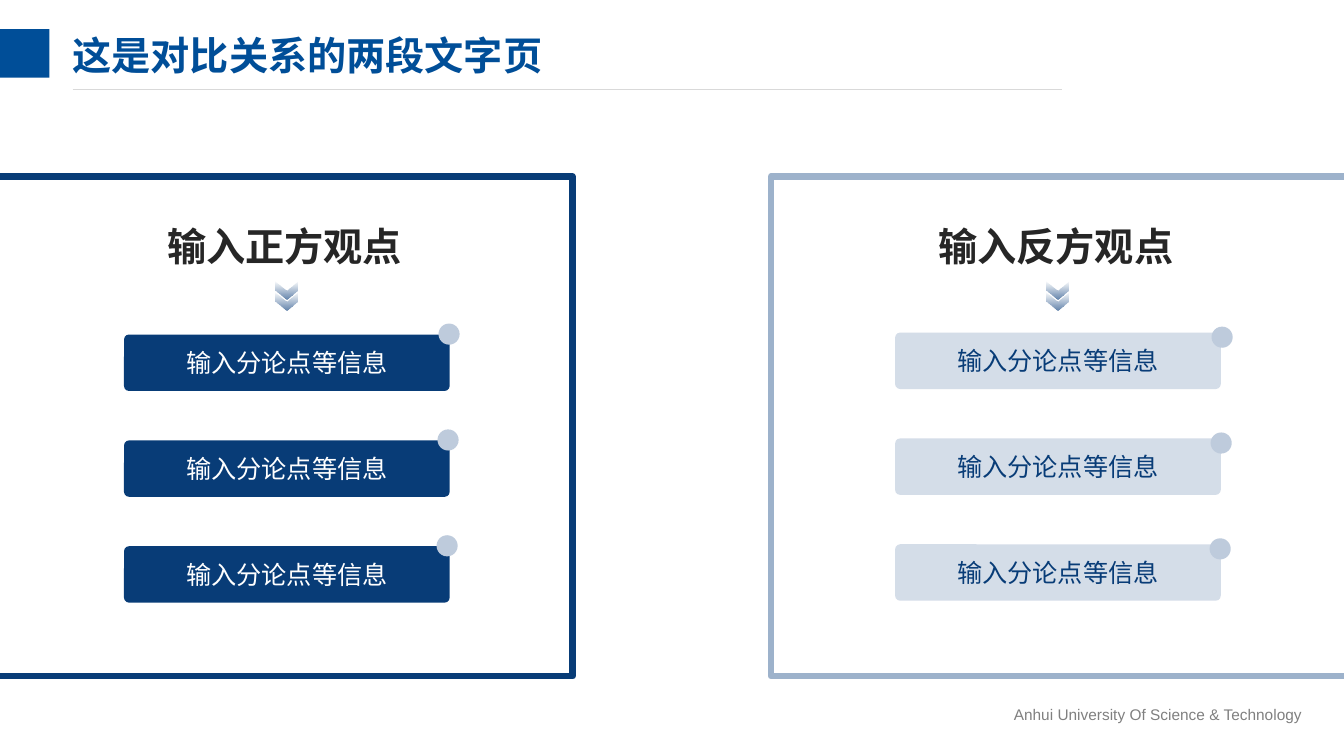
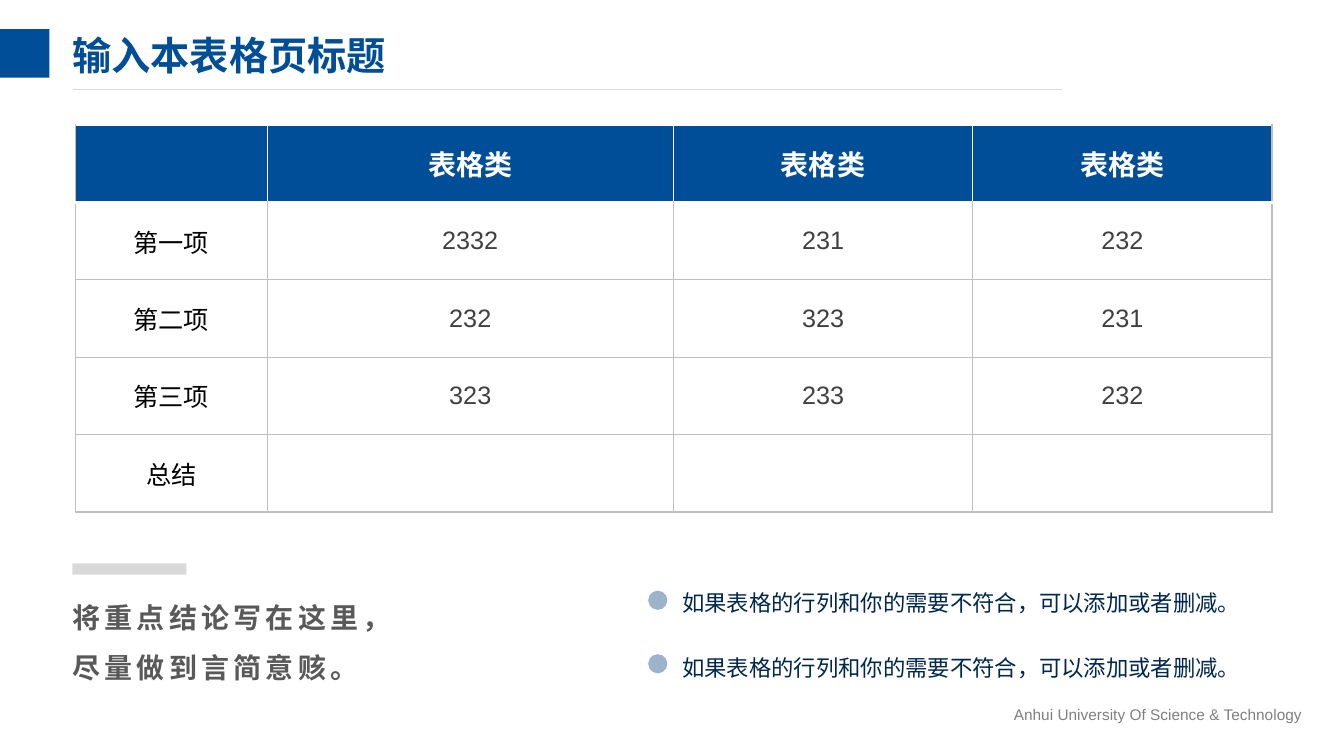
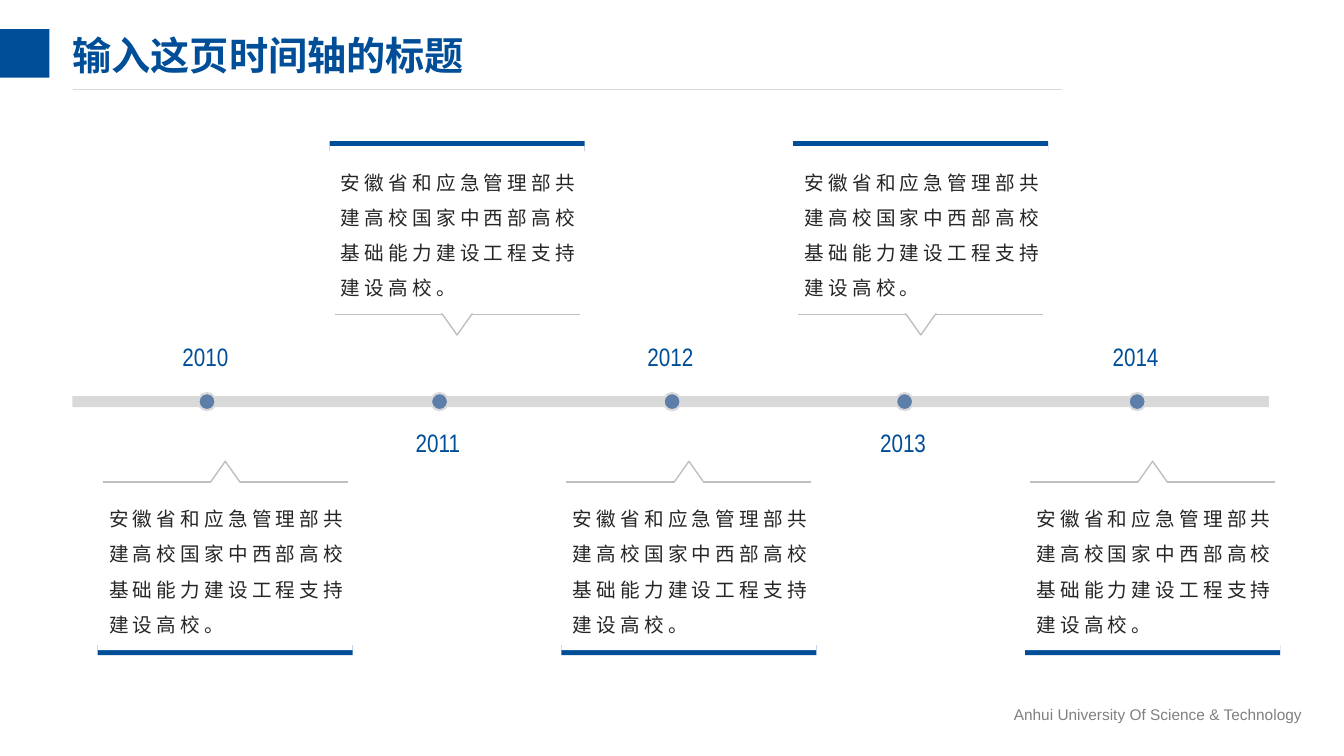
from lxml.etree import SubElement
from pptx import Presentation
from pptx.dml.color import RGBColor
from pptx.enum.shapes import MSO_CONNECTOR, MSO_SHAPE
from pptx.enum.text import MSO_ANCHOR, MSO_AUTO_SIZE, PP_ALIGN
from pptx.oxml.ns import qn
from pptx.util import Pt

BLUE = RGBColor(0x00, 0x4E, 0x98)
NAVY = RGBColor(0x08, 0x3C, 0x77)
MIDNIGHT = RGBColor(0x00, 0x27, 0x4C)
STEEL = RGBColor(0x5C, 0x7E, 0xA8)
MIST = RGBColor(0x9D, 0xB2, 0xCB)
PALE = RGBColor(0xBE, 0xCB, 0xDC)
WHITE = RGBColor(0xFF, 0xFF, 0xFF)
BLACK = RGBColor(0x00, 0x00, 0x00)
INK = RGBColor(0x26, 0x26, 0x26)
CHARCOAL = RGBColor(0x40, 0x40, 0x40)
SLATE = RGBColor(0x59, 0x59, 0x59)
GRAY = RGBColor(0x80, 0x80, 0x80)
SILVER = RGBColor(0xBF, 0xBF, 0xBF)
LIGHT = RGBColor(0xD9, 0xD9, 0xD9)

CJK = "Noto Sans CJK SC"
INSET = (7.2, 3.6)

ISSUE = "输入分论点等信息"
NOTE = "如果表格的行列和你的需要不符合，可以添加或者删减。"
EVENT = "安徽省和应急管理部共建高校国家中西部高校基础能力建设工程支持建设高校。"
TABLE_ROWS = [
    ["", "表格类", "表格类", "表格类"],
    ["第一项", "2332", "231", "232"],
    ["第二项", "232", "323", "231"],
    ["第三项", "323", "233", "232"],
    ["总结", "", "", ""],
]


def points(*lengths):
    return [Pt(length) for length in lengths]


def write(frame, text, size, color, font=CJK, bold=False, align=None,
          line_spacing=None, tracking=0):
    """Fill a text frame with one styled paragraph; tracking is in points."""
    frame.text = text
    para = frame.paragraphs[0]
    para.alignment = align
    para.line_spacing = line_spacing
    for span in para.runs:
        span.font.size = Pt(size)
        span.font.bold = bold
        span.font.color.rgb = color
        span.font.name = font
        properties = span.font._element
        SubElement(properties, qn("a:ea")).set("typeface", CJK)
        if tracking:
            properties.set("spc", str(tracking * 100))


def add_text(page, area, text, size, color, inset=(0, 0), wrap=True,
             grow=True, anchor=MSO_ANCHOR.TOP, **style):
    frame = page.shapes.add_textbox(*points(*area)).text_frame
    frame.margin_left = frame.margin_right = Pt(inset[0])
    frame.margin_top = frame.margin_bottom = Pt(inset[1])
    write(frame, text, size, color, **style)
    frame.word_wrap = wrap
    frame.vertical_anchor = anchor
    frame.auto_size = MSO_AUTO_SIZE.SHAPE_TO_FIT_TEXT if grow else MSO_AUTO_SIZE.NONE


def add_box(page, kind, area, fill=None, line=None, weight=1):
    box = page.shapes.add_shape(kind, *points(*area))
    box.shadow.inherit = False
    if fill is None:
        box.fill.background()
    else:
        box.fill.solid()
        box.fill.fore_color.rgb = fill
    if line is None:
        box.line.fill.background()
    else:
        box.line.color.rgb = line
        box.line.width = Pt(weight)
    return box


def add_rule(page, left, right, top, color, weight):
    rule = page.shapes.add_connector(MSO_CONNECTOR.STRAIGHT,
                                     *points(left, top, right, top))
    rule.line.color.rgb = color
    rule.line.width = Pt(weight)
    SubElement(rule._element.spPr, qn("a:effectLst"))


def set_alpha(fill_element, percent):
    """Make the first colour of a fill partly transparent."""
    color = next(fill_element.iter(qn("a:srgbClr")))
    SubElement(color, qn("a:alpha")).set("val", str(percent * 1000))


def add_page(deck, title):
    """Add a page with the shared title, accent square, rule and footer."""
    page = deck.slides.add_slide(deck.slide_layouts[6])
    add_text(page, (717.1, 500.4, 226.1, 20.9),
             "Anhui University Of Science & Technology", 11, GRAY,
             inset=INSET, wrap=False, font="Arial")
    add_box(page, MSO_SHAPE.RECTANGLE, (-1.4, 20.9, 36.7, 34.6), BLUE)
    add_rule(page, 51.8, 758.9, 64.1, LIGHT, 0.5)
    add_text(page, (51.8, 15.1, 684.7, 52.6), title, 28, BLUE, grow=False,
             anchor=MSO_ANCHOR.MIDDLE, font="Montserrat", bold=True,
             line_spacing=0.9)
    return page


def add_chevron(page, left, top):
    chevron = add_box(page, MSO_SHAPE.CHEVRON, (left, top, 13, 15.8))
    chevron.rotation = 90
    chevron.fill.gradient()
    chevron.fill.gradient_angle = 0
    for stop, position in zip(chevron.fill.gradient_stops, (0, 1)):
        stop.color.rgb = STEEL
        stop.position = position
    set_alpha(chevron._element.spPr.find(qn("a:gradFill")), 0)


def add_side(page, left, frame_left, frame_color, heading, bar_color, bar_alpha,
             text_color, bar_top, dot_left, dot_top):
    """Add one side of the debate, measured from the left of its column."""
    add_box(page, MSO_SHAPE.RECTANGLE, (left + frame_left, 126, 424.8, 357.1),
            line=frame_color, weight=4.5)
    add_text(page, (left + 119.5, 159.1, 169.9, 33.8), heading, 28, INK,
             wrap=False, bold=True)
    for top in (199.4, 207.4):
        add_chevron(page, left + 198, top)
    for index in range(3):
        drop = index * 75.6
        bar = add_box(page, MSO_SHAPE.ROUNDED_RECTANGLE,
                      (left + 88.6, bar_top + drop, 232.6, 40.3), bar_color)
        bar.adjustments[0] = 0.09
        if bar_alpha < 100:
            set_alpha(bar._element.spPr.find(qn("a:solidFill")), bar_alpha)
        bar.text_frame.vertical_anchor = MSO_ANCHOR.MIDDLE
        write(bar.text_frame, ISSUE, 18, text_color, align=PP_ALIGN.CENTER)
        add_box(page, MSO_SHAPE.OVAL,
                (left + dot_left - index * 0.7, dot_top + drop, 15.1, 15.1), PALE)


def set_borders(cell, borders):
    """Draw the left, right, top and bottom borders, each (colour, weight)."""
    properties = cell._tc.get_or_add_tcPr()
    for side, (color, weight) in zip("LRTB", borders):
        edge = SubElement(properties, qn(f"a:ln{side}"))
        edge.set("w", str(Pt(weight)))
        fill = SubElement(edge, qn("a:solidFill"))
        SubElement(fill, qn("a:srgbClr")).set("val", str(color))


def style_cell(cell, text, row, column, last_column):
    thin, white = (SILVER, 1), (WHITE, 1)
    if row == 0:
        set_borders(cell, (thin if column == 0 else white,
                           thin if column == last_column else white,
                           white, (WHITE, 3)))
        cell.fill.solid()
        cell.fill.fore_color.rgb = BLUE
        style = dict(size=20, color=WHITE, bold=True)
    else:
        set_borders(cell, (thin, thin, (WHITE, 3) if row == 1 else thin, thin))
        cell.fill.background()
        style = dict(size=18, color=BLACK if column == 0 else CHARCOAL, font="Arial")
    cell.vertical_anchor = MSO_ANCHOR.MIDDLE
    write(cell.text_frame, text, align=PP_ALIGN.CENTER, **style)


def add_data_table(page, left, top, widths, row_height):
    area = (left, top, sum(widths), row_height * len(TABLE_ROWS))
    table = page.shapes.add_table(len(TABLE_ROWS), len(widths), *points(*area)).table
    table.horz_banding = False
    for column, width in zip(table.columns, widths):
        column.width = Pt(width)
    for row, texts in enumerate(TABLE_ROWS):
        table.rows[row].height = Pt(row_height)
        for column, text in enumerate(texts):
            style_cell(table.cell(row, column), text, row, column, len(widths) - 1)


def add_conclusion(page, left, top):
    add_box(page, MSO_SHAPE.RECTANGLE, (left, top, 81.4, 7.9), LIGHT)
    add_text(page, (left, top + 14.4, 230.4, 68.4),
             "将重点结论写在这里，尽量做到言简意赅。", 20, SLATE,
             bold=True, line_spacing=1.5, tracking=3)


def add_note(page, left, text_top, dot_top):
    add_box(page, MSO_SHAPE.OVAL, (left, dot_top, 13.7, 13.7), MIST)
    add_text(page, (left + 17.3, text_top, 414, 33.1), NOTE, 16, MIDNIGHT,
             inset=INSET, line_spacing=1.5)


def add_event_card(page, left, top, above):
    """Add a card whose tip points at the axis: down if above it, else up."""
    width, height = 182.2, 119.5
    bottom = top + height
    if above:
        bar_top, tip_top, rule_top = top - 3.6, bottom - 4, bottom + 0.7
    else:
        bar_top, tip_top, rule_top = bottom - 3.6, top - 15.4, top - 0.7
    add_box(page, MSO_SHAPE.RECTANGLE, (left, bar_top, width, 7.2), BLUE)
    tip = add_box(page, MSO_SHAPE.ISOSCELES_TRIANGLE,
                  (left + 77.4, tip_top, 27.4, 19.4), line=SILVER)
    tip.rotation = 180 if above else 0
    add_box(page, MSO_SHAPE.RECTANGLE, (left, top, width, height), WHITE)
    for start, end in ((3.6, 80.6), (101.6, 178.6)):
        add_rule(page, left + start, left + end, rule_top, SILVER, 1)
    add_text(page, (left + 1, top + 5.4, 187.2, 105.8), EVENT, 14, INK,
             inset=INSET, line_spacing=1.5, tracking=3)


def build_comparison(deck):
    page = add_page(deck, "这是对比关系的两段文字页")
    add_side(page, 0, -15.8, NAVY, "输入正方观点", NAVY, 100, WHITE,
             bar_top=239, dot_left=313.2, dot_top=231.1)
    add_side(page, 550.8, 0, MIST, "输入反方观点", PALE, 65, NAVY,
             bar_top=237.6, dot_left=314.6, dot_top=233.3)


def build_table(deck):
    page = add_page(deck, "输入本表格页标题")
    add_data_table(page, 54, 89.3, (136.8, 290.2, 213.8, 213.8), 55.3)
    add_conclusion(page, 51.8, 402.5)
    for text_top, dot_top in ((407.5, 421.9), (454.3, 467.3)):
        add_note(page, 463, text_top, dot_top)


def build_timeline(deck):
    page = add_page(deck, "输入这页时间轴的标题")
    add_box(page, MSO_SHAPE.RECTANGLE, (51.8, 283, 854.6, 7.9), LIGHT)
    for index in range(5):
        above = index % 2 == 1
        dot_left = 141.8 + index * 166.1
        add_box(page, MSO_SHAPE.OVAL, (dot_left, 280.8, 12.2, 12.2), STEEL, LIGHT, 1.5)
        add_text(page, (dot_left - 12.6, 305.3 if above else 244.1, 35, 21.6),
                 str(2010 + index), 18, BLUE, wrap=False, font="Arial Narrow",
                 align=PP_ALIGN.CENTER)
        add_event_card(page, 69.8 + index * 165.6, 104.4 if above else 344.9, above)


def main():
    deck = Presentation()
    deck.slide_width, deck.slide_height = points(960, 540)
    build_comparison(deck)
    build_table(deck)
    build_timeline(deck)
    deck.save("out.pptx")


if __name__ == "__main__":
    main()
